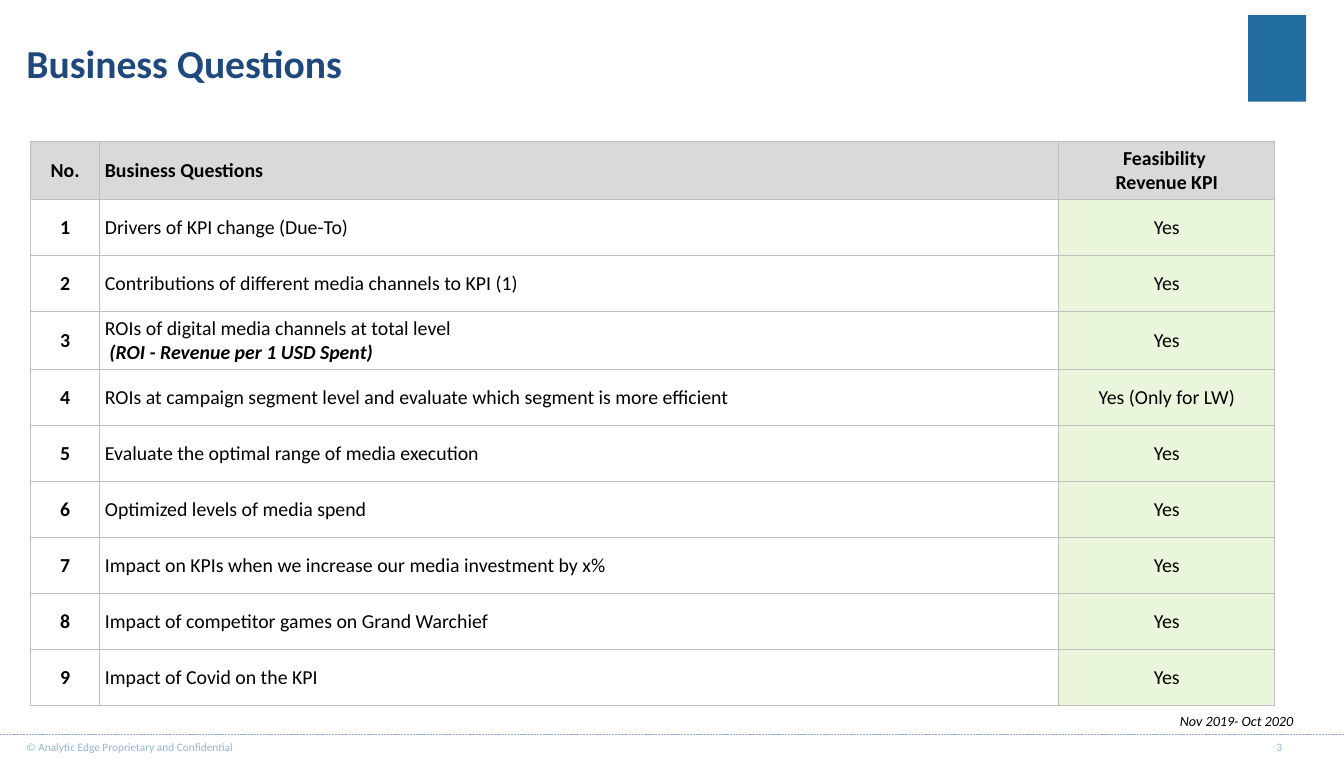
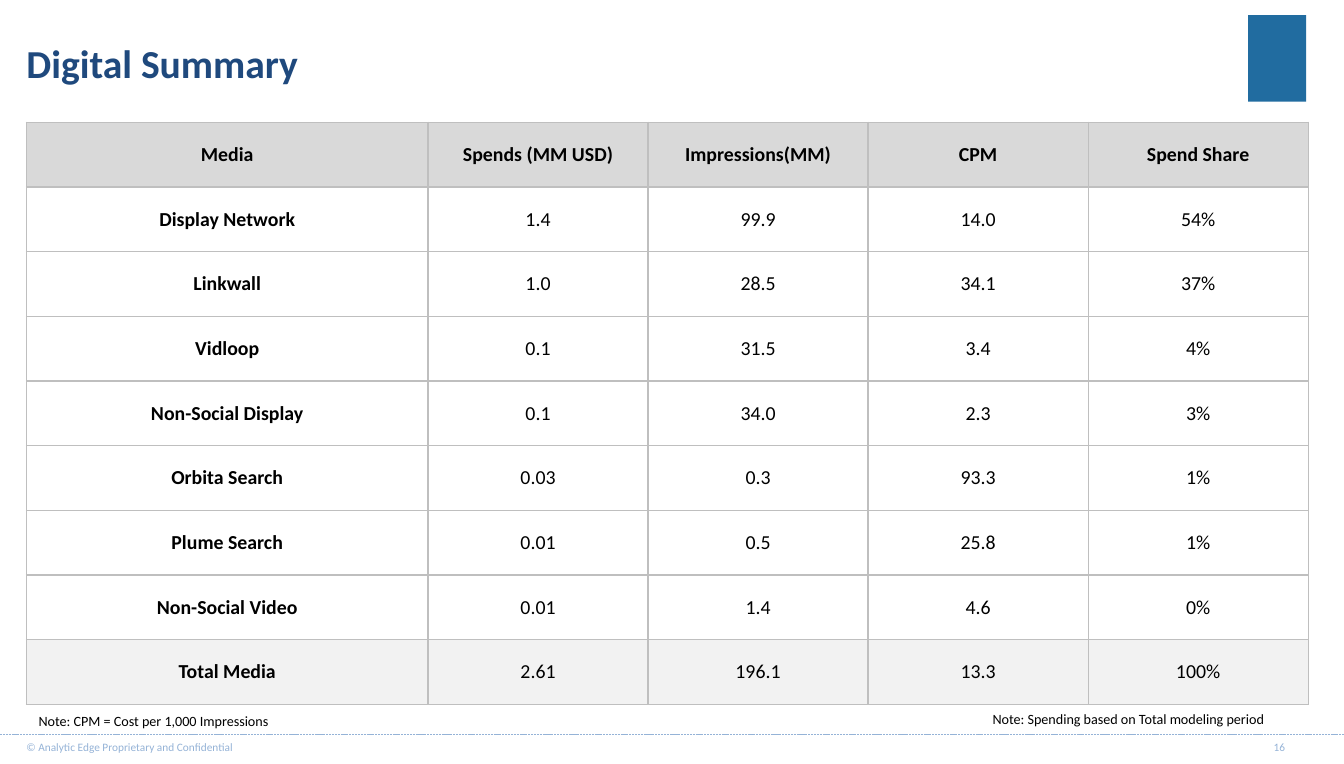
from dataclasses import dataclass

from lxml import etree
from pptx import Presentation
from pptx.dml.color import RGBColor
from pptx.enum import dml, shapes, text
from pptx.oxml import ns
from pptx.util import Pt

FONT = "Calibri"
COLOURS = {
    "title": "1F497D",
    "footer": "95B3D7",
    "text": "000000",
    "border": "BFBFBF",
    "header": "D9D9D9",
    "total": "F2F2F2",
    "feasible": "E9F6DC",
    "plain": "FFFFFF",
    "emblem": "216CA0",
}
SLIDE_WIDTH, SLIDE_HEIGHT = 950.4, 540
FOOTER_TOP = 519.1
LEFT, CENTER = text.PP_ALIGN.LEFT, text.PP_ALIGN.CENTER


@dataclass(frozen=True)
class Box:
    left: float
    top: float
    width: float
    height: float

    def lengths(self) -> tuple:
        return Pt(self.left), Pt(self.top), Pt(self.width), Pt(self.height)


@dataclass(frozen=True)
class Note:
    wording: str
    box: Box
    italic: bool = False


@dataclass(frozen=True)
class Grid:
    left: float
    top: float
    widths: list[float]
    row_height: float
    margin: float
    rows: list[tuple]
    left_columns: tuple = ()
    feasible_columns: tuple = ()
    has_total: bool = False

    def fill_name(self, row: int, column: int) -> str:
        if row == 0:
            return "header"
        if self.has_total and row == len(self.rows) - 1:
            return "total"
        return "feasible" if column in self.feasible_columns else "plain"


@dataclass(frozen=True)
class Page:
    title: str
    number: int
    grid: Grid
    notes: list[Note]


QUESTIONS = [
    ("Drivers of KPI change (Due-To)", "Yes"),
    ("Contributions of different media channels to KPI (1)", "Yes"),
    ("ROIs of digital media channels at total level\n (ROI - Revenue per 1 USD Spent)", "Yes"),
    ("ROIs at campaign segment level and evaluate which segment is more efficient",
     "Yes (Only for LW)"),
    ("Evaluate the optimal range of media execution", "Yes"),
    ("Optimized levels of media spend", "Yes"),
    ("Impact on KPIs when we increase our media investment by x%", "Yes"),
    ("Impact of competitor games on Grand Warchief", "Yes"),
    ("Impact of Covid on the KPI", "Yes"),
]

PAGES = [
    Page(
        "Business Questions", 3,
        Grid(
            21.6, 100.1, [49, 678.2, 152.6], 39.6, 3.6,
            [("No.", "Business Questions", "Feasibility \nRevenue KPI")]
            + [(str(number), *question) for number, question in enumerate(QUESTIONS, 1)],
            left_columns=(1,), feasible_columns=(2,),
        ),
        [Note("Nov 2019- Oct 2020", Box(827.3, 499.7, 97.2, 19.4), italic=True)],
    ),
    Page(
        "Digital Summary", 16,
        Grid(
            18.7, 86.4, [284] + [155.6] * 4, 45.75, 0.72,
            [
                ("Media", "Spends (MM USD)", "Impressions(MM)", "CPM", "Spend Share"),
                ("Display Network", "1.4", "99.9", "14.0", "54%"),
                ("Linkwall", "1.0", "28.5", "34.1", "37%"),
                ("Vidloop", "0.1", "31.5", "3.4", "4%"),
                ("Non-Social Display", "0.1", "34.0", "2.3", "3%"),
                ("Orbita Search", "0.03", "0.3", "93.3", "1%"),
                ("Plume Search", "0.01", "0.5", "25.8", "1%"),
                ("Non-Social Video", "0.01", "1.4", "4.6", "0%"),
                ("Total Media", "2.61", "196.1", "13.3", "100%"),
            ],
            has_total=True,
        ),
        [
            Note("Note: CPM = Cost per 1,000 Impressions", Box(20.2, 499.7, 300, 19.4)),
            Note("Note: Spending based on Total modeling period", Box(694.8, 498.2, 240, 19.4)),
        ],
    ),
]


def colour(name: str) -> RGBColor:
    return RGBColor.from_string(COLOURS[name])


def format_paragraph(paragraph, size: float, colour_name: str, align=LEFT,
                     bold: bool = False, italic: bool = False) -> None:
    paragraph.alignment = align
    for run in paragraph.runs:
        font = run.font
        font.name, font.size, font.bold, font.italic = FONT, Pt(size), bold, italic
        font.color.rgb = colour(colour_name)


def add_label(slide, box: Box, wording: str, size: float, colour_name: str, align=LEFT,
              anchor=text.MSO_ANCHOR.TOP, italic: bool = False) -> None:
    text_frame = slide.shapes.add_textbox(*box.lengths()).text_frame
    text_frame.word_wrap = True
    text_frame.vertical_anchor = anchor
    text_frame.text = wording
    format_paragraph(text_frame.paragraphs[0], size, colour_name, align, italic=italic)


def add_frame(slide, title: str, number: int) -> None:
    line = slide.shapes.add_connector(
        shapes.MSO_CONNECTOR.STRAIGHT, Pt(0), Pt(FOOTER_TOP), Pt(SLIDE_WIDTH), Pt(FOOTER_TOP))
    line.line.color.rgb = colour("footer")
    line.line.width = Pt(0.5)
    line.line.dash_style = dml.MSO_LINE.SQUARE_DOT
    etree.SubElement(line._element.spPr, ns.qn("a:effectLst"))

    emblem = slide.shapes.add_shape(
        shapes.MSO_SHAPE.RECTANGLE, *Box(882.7, 10.8, 41, 61).lengths())
    emblem.shadow.inherit = False
    emblem.fill.solid()
    emblem.fill.fore_color.rgb = colour("emblem")
    emblem.line.fill.background()

    heading = slide.shapes.title
    heading.left, heading.top, heading.width, heading.height = Box(11.5, 13, 855.4, 61.9).lengths()
    heading.text_frame.text = title
    heading.text_frame.vertical_anchor = text.MSO_ANCHOR.MIDDLE
    format_paragraph(heading.text_frame.paragraphs[0], 28, "title", bold=True)

    add_label(slide, Box(882, 519.8, 45.4, 20), str(number), 8, "footer", CENTER)
    add_label(slide, Box(11.5, 519.8, 199.4, 20),
              "© Analytic Edge Proprietary and Confidential", 8, "footer")


def add_borders(cell) -> None:
    properties = cell._tc.get_or_add_tcPr()
    for side in ("a:lnL", "a:lnR", "a:lnT", "a:lnB"):
        border = etree.SubElement(properties, ns.qn(side), w=str(Pt(1)))
        fill = etree.SubElement(border, ns.qn("a:solidFill"))
        etree.SubElement(fill, ns.qn("a:srgbClr"), val=COLOURS["border"])


def add_grid(slide, grid: Grid) -> None:
    box = Box(grid.left, grid.top, sum(grid.widths), grid.row_height * len(grid.rows))
    table = slide.shapes.add_table(len(grid.rows), len(grid.widths), *box.lengths()).table
    table.first_row = table.horz_banding = False
    for column, width in zip(table.columns, grid.widths):
        column.width = Pt(width)
    for row_index, wordings in enumerate(grid.rows):
        table.rows[row_index].height = Pt(grid.row_height)
        for column_index, wording in enumerate(wordings):
            cell = table.cell(row_index, column_index)
            add_borders(cell)
            cell.fill.solid()
            cell.fill.fore_color.rgb = colour(grid.fill_name(row_index, column_index))
            cell.vertical_anchor = text.MSO_ANCHOR.MIDDLE
            cell.margin_left = cell.margin_right = Pt(grid.margin)
            cell.margin_top = cell.margin_bottom = Pt(grid.margin)
            cell.text_frame.text = wording
            align = LEFT if column_index in grid.left_columns else CENTER
            is_heading = row_index == 0 or column_index == 0
            for position, paragraph in enumerate(cell.text_frame.paragraphs):
                is_remark = position > 0 and not is_heading
                format_paragraph(paragraph, 14, "text", align,
                                 bold=is_heading or is_remark, italic=is_remark)


def main() -> None:
    presentation = Presentation()
    presentation.slide_width, presentation.slide_height = Pt(SLIDE_WIDTH), Pt(SLIDE_HEIGHT)
    for page in PAGES:
        slide = presentation.slides.add_slide(presentation.slide_layouts.get_by_name("Title Only"))
        add_frame(slide, page.title, page.number)
        add_grid(slide, page.grid)
        for note in page.notes:
            add_label(slide, note.box, note.wording, 10, "text",
                      anchor=text.MSO_ANCHOR.MIDDLE, italic=note.italic)
    presentation.save("out.pptx")


if __name__ == "__main__":
    main()
